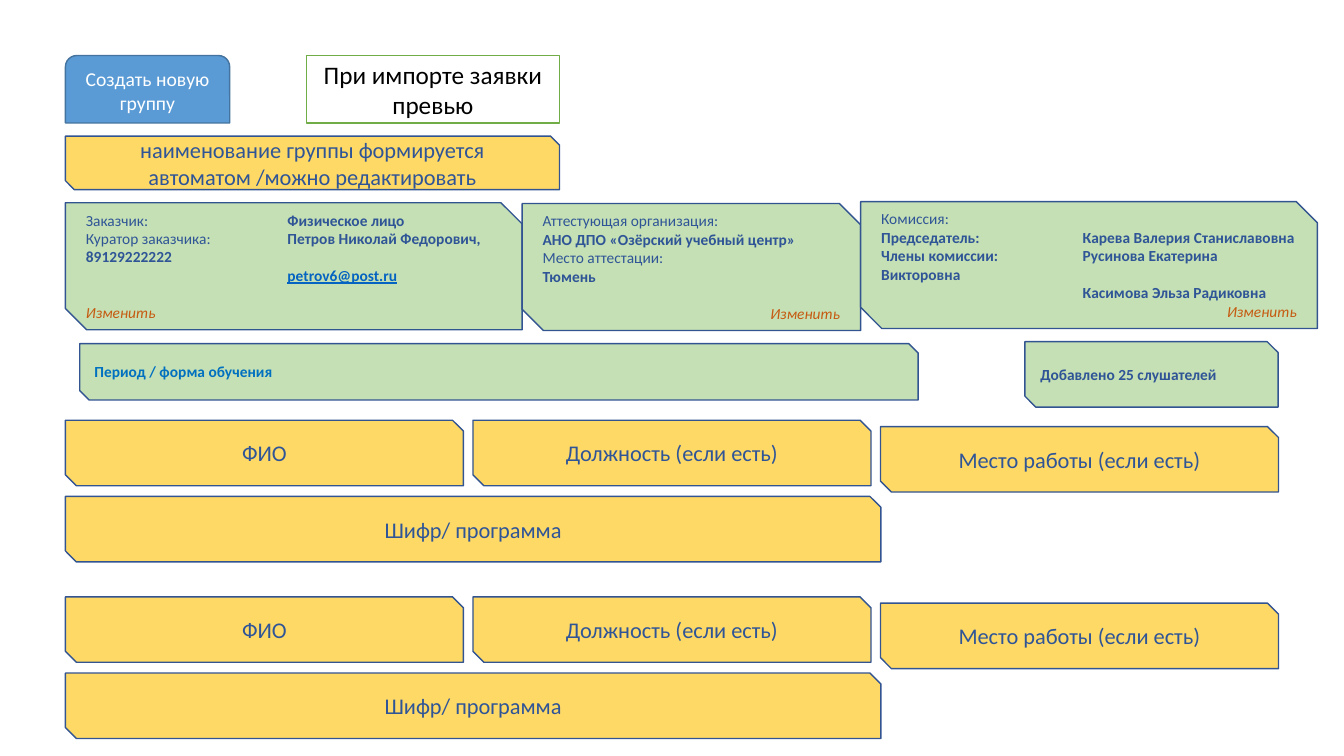
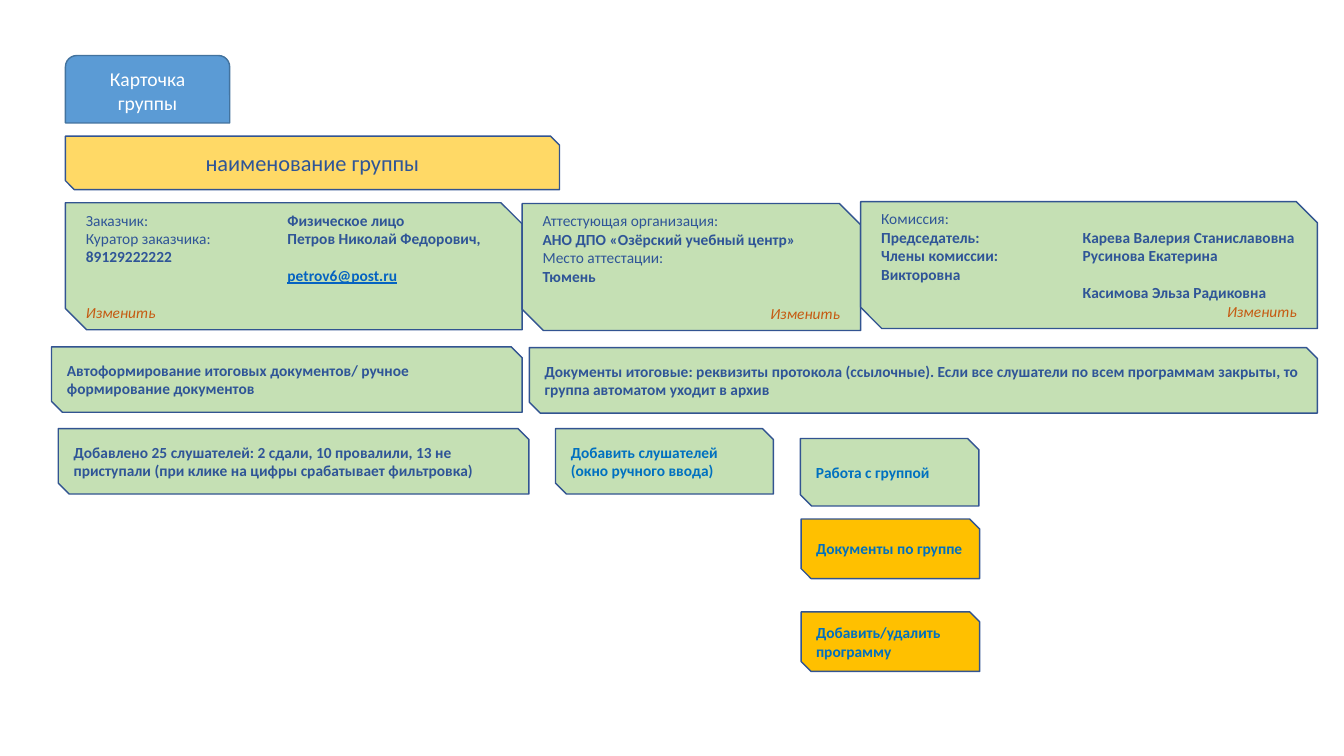
"""Build two slides that sketch the group creation form and the group card."""
from lxml.etree import SubElement
from pptx import Presentation
from pptx.dml.color import RGBColor
from pptx.enum.shapes import MSO_SHAPE as Shape
from pptx.enum.text import MSO_ANCHOR as Anchor, PP_ALIGN as Align
from pptx.oxml.ns import qn
from pptx.util import Cm, Pt

FONT = "Calibri"
NAVY, BRIGHT, LINK, RUST = "2F5597", "0070C0", "0563C1", "C55A11"
BORDER, GREEN, YELLOW, AMBER, WHITE = "325491", "C5E0B4", "FFD966", "FFC000", "FFFFFF"
LEFT, VALUE_TAB, LINE_GAP = 1.65, 5.08, 13.4

PLAIN = {}
BOLD = {"bold": True}
MAIL = {"bold": True, "underline": True, "color": LINK}
EDIT = [("Изменить", {"italic": True, "color": RUST})]

CARDS = [
    ((LEFT, 5.11, 11.51, 3.2), Align.LEFT, LINE_GAP, [
        [("Заказчик:\t", PLAIN), ("Физическое лицо", BOLD)],
        [("Куратор заказчика:\t", PLAIN), ("Петров Николай Федорович,", BOLD)],
        [("89129222222", BOLD)],
        [("\t", BOLD), ("petrov6@post.ru", MAIL)],
    ]),
    ((13.16, 5.13, 8.53, 3.2), Align.RIGHT, LINE_GAP, [
        [("Аттестующая организация:", PLAIN)],
        [("АНО ДПО «Озёрский учебный центр»", BOLD)],
        [("Место аттестации:", PLAIN)],
        [("Тюмень", BOLD)],
    ]),
    ((21.69, 5.08, 11.51, 3.2), Align.RIGHT, 0, [
        [("Комиссия:", PLAIN)],
        [("Председатель:\tКарева Валерия Станиславовна", BOLD)],
        [("Члены комиссии:\tРусинова Екатерина Викторовна", BOLD)],
        [("\tКасимова Эльза Радиковна", BOLD)],
    ]),
]

SLIDES = [
    {
        "button": "Создать новую группу",
        "name": "наименование группы формируется автоматом /можно редактировать",
        "preview": "При импорте заявки превью",
        "notes": [
            ("Период / форма обучения", (2.01, 8.66, 21.13, 1.42), GREEN, BRIGHT),
            ("Добавлено 25 слушателей", (25.83, 8.61, 6.38, 1.65), GREEN, NAVY),
        ],
        "listener_tops": [10.59, 15.04],
    },
    {
        "button": "Карточка группы",
        "name": "наименование группы",
        "preview": None,
        "notes": [
            ("Автоформирование итоговых документов/ ручное формирование документов",
             (1.3, 8.74, 11.86, 1.65), GREEN, NAVY),
            ("Документы итоговые: реквизиты протокола (ссылочные). Если все слушатели "
             "по всем программам закрыты, то группа автоматом уходит в архив",
             (13.34, 8.76, 19.86, 1.65), GREEN, NAVY),
            ("Добавлено 25 слушателей: 2 сдали, 10 провалили, 13 не приступали "
             "(при клике на цифры срабатывает фильтровка)",
             (1.47, 10.8, 11.86, 1.65), GREEN, NAVY),
            ("Добавить слушателей (окно ручного ввода)",
             (14, 10.8, 5.49, 1.65), GREEN, BRIGHT),
            ("Работа с группой", (20.17, 11.05, 4.5, 1.7), GREEN, BRIGHT),
            ("Документы по группе", (20.19, 13.08, 4.5, 1.5), AMBER, BRIGHT),
            ("Добавить/удалить программу", (20.19, 15.42, 4.5, 1.5), AMBER, BRIGHT),
        ],
        "listener_tops": [],
    },
]

FIELD_WIDTH, FIELD_PITCH, FIELD_HEIGHT = 10.03, 10.27, 1.65
FIELDS = [("ФИО", 0), ("Должность (если есть)", 0), ("Место работы (если есть)", 0.16)]
PROGRAM, PROGRAM_DROP, PROGRAM_WIDTH = "Шифр/ программа", 1.92, 20.55


def rgb(color):
    """Turn a hex string into a colour."""
    return RGBColor.from_string(color)


def add_box(page, place, fill, line=BORDER, kind=Shape.SNIP_2_DIAG_RECTANGLE):
    """Add a flat outlined shape."""
    box = page.shapes.add_shape(kind, *map(Cm, place))
    box.shadow.inherit = False
    box.fill.solid()
    box.fill.fore_color.rgb = rgb(fill)
    box.line.color.rgb = rgb(line)
    box.line.width = Pt(1)
    box.text_frame.word_wrap = True
    box.text_frame.vertical_anchor = Anchor.MIDDLE
    return box


def write(para, spans, size, color=NAVY, align=Align.CENTER):
    """Fill a paragraph with formatted spans."""
    para.alignment = align
    for text, style in spans:
        span = para.add_run()
        span.text = text
        font = span.font
        font.name, font.size = FONT, Pt(size)
        font.bold = style.get("bold", False)
        font.italic = style.get("italic", False)
        font.underline = style.get("underline", False)
        font.color.rgb = rgb(style.get("color", color))


def add_label(page, text, place, fill, size=16, color=NAVY, **look):
    """Add a box with one centred line of text."""
    box = add_box(page, place, fill, **look)
    write(box.text_frame.paragraphs[0], [(text, PLAIN)], size, color)


def add_note(page, text, place, fill, color):
    """Add a box with bold text on the left."""
    box = add_box(page, place, fill)
    write(box.text_frame.paragraphs[0], [(text, BOLD)], 11, color, Align.LEFT)


def add_card(page, place, edit_align, edit_gap, rows):
    """Add a card of labels and values that closes with an edit command."""
    frame = add_box(page, place, GREEN).text_frame
    for index, spans in enumerate(rows):
        para = frame.add_paragraph() if index else frame.paragraphs[0]
        write(para, spans, 11, align=Align.LEFT)
        stops = SubElement(para._p.get_or_add_pPr(), qn("a:tabLst"))
        SubElement(stops, qn("a:tab"), pos=str(int(Cm(VALUE_TAB))), algn="l")
    para = frame.add_paragraph()
    para.space_before = Pt(edit_gap)
    write(para, EDIT, 11, align=edit_align)


def add_listener(page, top):
    """Add the fields of one listener."""
    for column, (text, drop) in enumerate(FIELDS):
        place = (LEFT + column * FIELD_PITCH, top + drop, FIELD_WIDTH, FIELD_HEIGHT)
        add_label(page, text, place, YELLOW)
    place = (LEFT, top + PROGRAM_DROP, PROGRAM_WIDTH, FIELD_HEIGHT)
    add_label(page, PROGRAM, place, YELLOW)


def add_page(deck, content):
    """Add one slide with the shared header and its own boxes."""
    page = deck.slides.add_slide(deck.slide_layouts[6])
    add_label(page, content["button"], (LEFT, 1.4, 4.14, 1.7), "5B9BD5", 14, WHITE,
              line="43739E", kind=Shape.ROUND_2_SAME_RECTANGLE)
    if content["preview"]:
        add_label(page, content["preview"], (7.72, 1.4, 6.38, 1.7), WHITE, 18, "000000",
                  line="70AD47", kind=Shape.RECTANGLE)
    add_label(page, content["name"], (LEFT, 3.43, 12.45, 1.35), YELLOW)
    for card in CARDS:
        add_card(page, *card)
    for note in content["notes"]:
        add_note(page, *note)
    for top in content["listener_tops"]:
        add_listener(page, top)


deck = Presentation()
deck.slide_width, deck.slide_height = Cm(33.87), Cm(19.05)
for content in SLIDES:
    add_page(deck, content)
deck.save("out.pptx")
